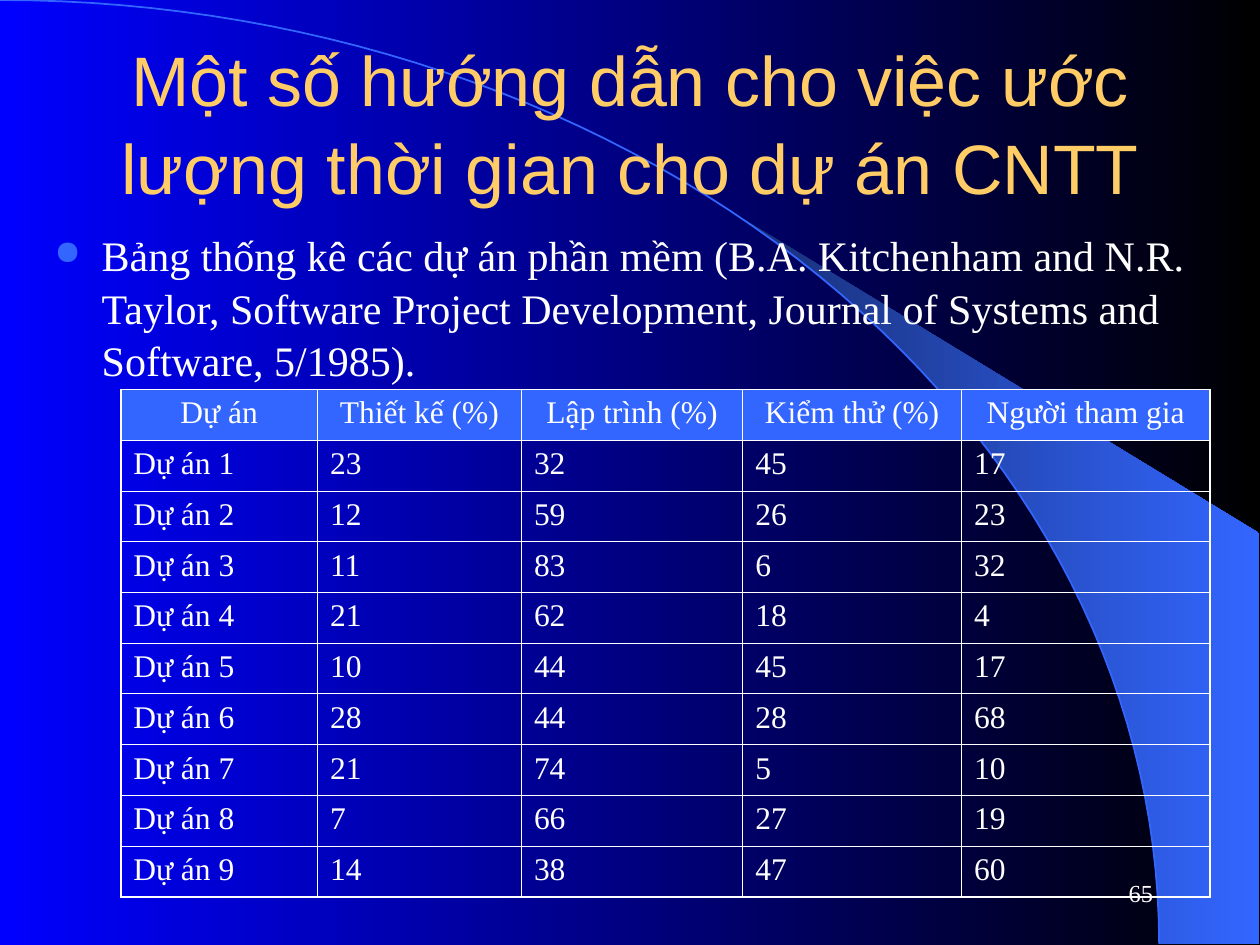
import math

from lxml import etree
from pptx import Presentation
from pptx.dml.color import RGBColor
from pptx.enum.text import MSO_ANCHOR, PP_ALIGN
from pptx.oxml.ns import qn
from pptx.util import Pt

LEFT, CENTER, RIGHT = PP_ALIGN.LEFT, PP_ALIGN.CENTER, PP_ALIGN.RIGHT
TOP, MIDDLE = MSO_ANCHOR.TOP, MSO_ANCHOR.MIDDLE
WHITE, BLUE, GOLD = "FFFFFF", "3366FF", "FFCC66"
ARC_WIDTH, ARC_HEIGHT = 662.4, 539.3
THIN, THICK = 0.45, 1.08


def color(hex_string):
    return RGBColor.from_string(hex_string)


def write(frame, text, size=18, font="Times New Roman", fill=WHITE,
          align=LEFT, anchor=TOP, spacing=None):
    frame.word_wrap = True
    frame.vertical_anchor = anchor
    paragraph = frame.paragraphs[0]
    paragraph.alignment = align
    paragraph.line_spacing = spacing
    run = paragraph.add_run()
    run.text = text
    run.font.size = Pt(size)
    run.font.name = font
    run.font.color.rgb = color(fill)


presentation = Presentation()
presentation.slide_width, presentation.slide_height = Pt(720), Pt(540)
slide = presentation.slides.add_slide(presentation.slide_layouts[5])
shapes = slide.shapes

# Points along the quarter ellipse; the wedge starts partway along it
wedge_start = math.asin(0.64)
angles = [math.pi / 2 * step / 60 for step in range(61)]
arc = [(ARC_WIDTH * math.sin(angle), ARC_HEIGHT * (1 - math.cos(angle)))
       for angle in angles]
wedge_arc = [point for point, angle in zip(arc, angles) if angle > wedge_start]

# Wedge at the right of the arc
builder = shapes.build_freeform(Pt(424), Pt(124.6))
outline = wedge_arc + [(719.3, 539.3), (719.3, 304.6)]
builder.add_line_segments([(Pt(x), Pt(y)) for x, y in outline], close=True)
wedge = builder.convert_to_shape()
wedge.shadow.inherit = False
wedge.line.fill.background()

# Left-to-right gradients of the background and the wedge
for fill, stops in ((slide.background.fill, ("0000FF", "000000")),
                    (wedge.fill, ("182F76", BLUE))):
    fill.gradient()
    fill.gradient_angle = 0
    for stop, stop_color in zip(fill.gradient_stops, stops):
        stop.color.rgb = color(stop_color)

# Arc line
builder = shapes.build_freeform(0, 0)
builder.add_line_segments([(Pt(x), Pt(y)) for x, y in arc[1:]], close=False)
arc_line = builder.convert_to_shape()
arc_line.shadow.inherit = False
arc_line.fill.background()
arc_line.line.color.rgb = color(BLUE)
arc_line.line.width = Pt(1)

# Slide number
number = shapes.add_textbox(Pt(516), Pt(492), Pt(150), Pt(36))
write(number.text_frame, "65", size=14, align=RIGHT, anchor=MIDDLE)

# Title, in front of the arc
title = shapes.title
title.element.getparent().append(title.element)
title.left, title.top, title.width, title.height = Pt(54), Pt(24), Pt(612), Pt(90)
write(title.text_frame, "Một số hướng dẫn cho việc ước lượng thời gian cho dự án CNTT",
      size=40, font="Arial", fill=GOLD, align=CENTER, anchor=MIDDLE, spacing=1.05)

# Bulleted text
body = shapes.add_textbox(Pt(24), Pt(126), Pt(666), Pt(396))
properties = body.text_frame.paragraphs[0]._p.get_or_add_pPr()
properties.set("marL", str(Pt(27)))
properties.set("indent", str(Pt(-27)))
bullet_color = etree.SubElement(properties, qn("a:buClr"))
etree.SubElement(bullet_color, qn("a:srgbClr"), val=BLUE)
etree.SubElement(properties, qn("a:buSzPct"), val="80000")
etree.SubElement(properties, qn("a:buChar"), char="●")
write(body.text_frame,
      "Bảng thống kê các dự án phần mềm (B.A. Kitchenham and N.R. Taylor, "
      "Software Project Development, Journal of Systems and Software, 5/1985).",
      size=24, spacing=1.05)

# Project table
rows = [
    ("Dự án", "Thiết kế (%)", "Lập trình (%)", "Kiểm thử (%)", "Người tham gia"),
    ("Dự án 1", 23, 32, 45, 17),
    ("Dự án 2", 12, 59, 26, 23),
    ("Dự án 3", 11, 83, 6, 32),
    ("Dự án 4", 21, 62, 18, 4),
    ("Dự án 5", 10, 44, 45, 17),
    ("Dự án 6", 28, 44, 28, 68),
    ("Dự án 7", 21, 74, 5, 10),
    ("Dự án 8", 7, 66, 27, 19),
    ("Dự án 9", 14, 38, 47, 60),
]
column_widths = [112.5, 116.5, 126.5, 125, 142]
row_height = 29
last_row, last_column = len(rows) - 1, len(column_widths) - 1
table = shapes.add_table(len(rows), len(column_widths), Pt(69), Pt(222.5),
                         Pt(sum(column_widths)), Pt(row_height * len(rows))).table
for column, width in zip(table.columns, column_widths):
    column.width = Pt(width)

for row_index, values in enumerate(rows):
    table.rows[row_index].height = Pt(row_height)
    for column_index, value in enumerate(values):
        cell = table.cell(row_index, column_index)
        cell.margin_left = cell.margin_right = Pt(7.2)
        cell.margin_top = cell.margin_bottom = Pt(3.6)
        header = row_index == 0
        write(cell.text_frame, str(value), align=CENTER if header else LEFT)

        # Borders, thicker on the outside of the table
        cell_properties = cell._tc.get_or_add_tcPr()
        for side, outer in (("L", column_index == 0),
                            ("R", column_index == last_column),
                            ("T", header),
                            ("B", row_index == last_row)):
            border = etree.SubElement(cell_properties, qn("a:ln" + side),
                                      w=str(Pt(THICK if outer else THIN)))
            border_fill = etree.SubElement(border, qn("a:solidFill"))
            etree.SubElement(border_fill, qn("a:srgbClr"), val=WHITE)

        if header:
            cell.fill.solid()
            cell.fill.fore_color.rgb = color(BLUE)
        else:
            cell.fill.background()

presentation.save("out.pptx")
